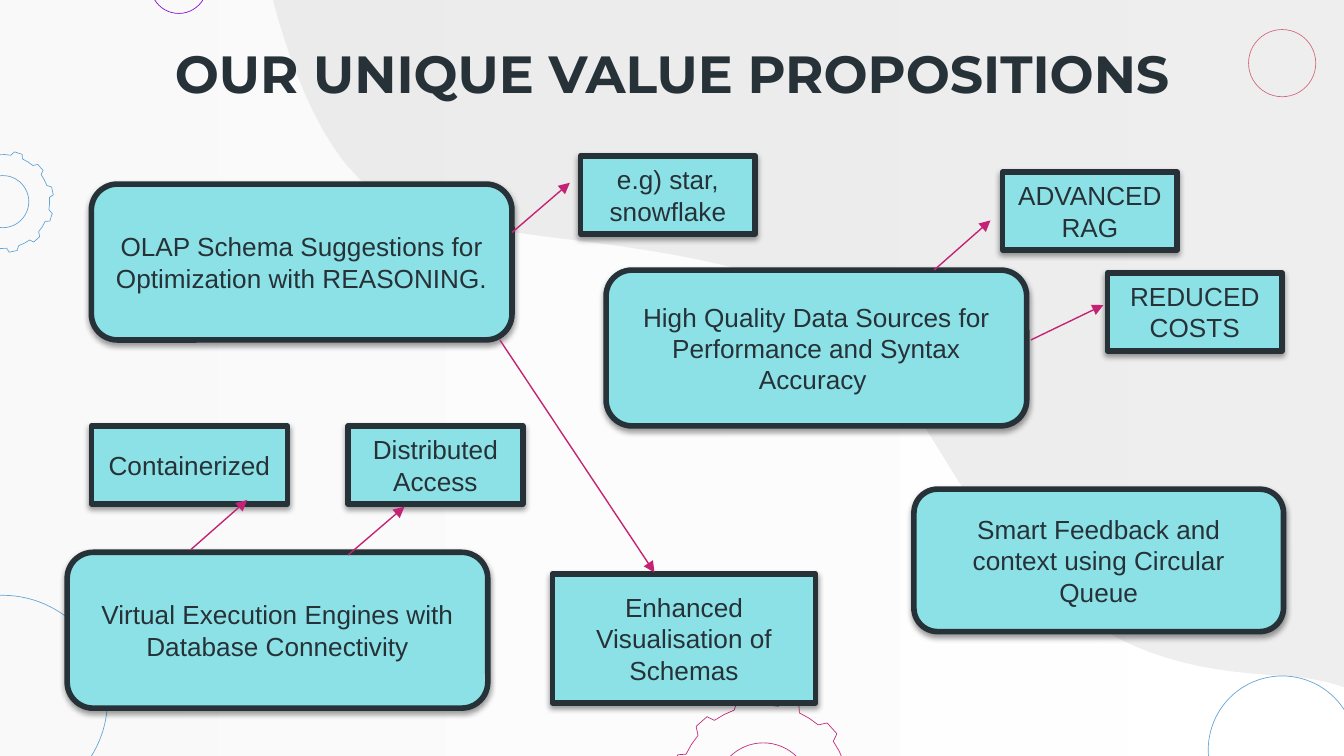
from math import cos, radians, sin

from lxml import etree
from pptx import Presentation
from pptx.dml.color import RGBColor
from pptx.enum.shapes import MSO_CONNECTOR, MSO_SHAPE
from pptx.enum.text import MSO_ANCHOR, PP_ALIGN
from pptx.oxml.ns import qn
from pptx.util import Inches, Pt

STRAIGHT = MSO_CONNECTOR.STRAIGHT
RECT, ROUNDED, OVAL = MSO_SHAPE.RECTANGLE, MSO_SHAPE.ROUNDED_RECTANGLE, MSO_SHAPE.OVAL
MIDDLE, CENTER = MSO_ANCHOR.MIDDLE, PP_ALIGN.CENTER

INK = RGBColor(0x26, 0x32, 0x38)
AQUA = RGBColor(0x8B, 0xE1, 0xE5)
MAGENTA = RGBColor(0xC4, 0x23, 0x75)
WHITE = RGBColor(0xFF, 0xFF, 0xFF)
PALE = RGBColor(0xF3, 0xF3, 0xF3)
GREY = RGBColor(0xD6, 0xD7, 0xD7)
BLUE = RGBColor(0x63, 0xA4, 0xD5)
PURPLE = RGBColor(0x86, 0x0C, 0xD1)
ROSE = RGBColor(0xD3, 0x69, 0x80)
PINK = RGBColor(0xC5, 0x28, 0x78)


def set_alpha(shape, percent):
    for color in shape._element.spPr.iter(qn("a:srgbClr")):
        etree.SubElement(color, qn("a:alpha"), val=str(percent * 1000))


def add_polygon(shapes, points):
    corners = [(Inches(x), Inches(y)) for x, y in points]
    builder = shapes.build_freeform(*corners[0])
    builder.add_line_segments(corners[1:], close=True)
    polygon = builder.convert_to_shape()
    polygon.shadow.inherit = False
    return polygon


prs = Presentation()
prs.slide_width, prs.slide_height = Inches(10), Inches(10) * 9 // 16
slide = prs.slides.add_slide(prs.slide_layouts[5])
shapes = slide.shapes

backdrop = shapes.add_shape(RECT, Inches(-0.07), Inches(-0.07), Inches(10.14), Inches(5.77))
backdrop.shadow.inherit = False
backdrop.line.fill.background()
backdrop.fill.gradient()
backdrop.fill.gradient_angle = 180
for stop, color in zip(backdrop.fill.gradient_stops, (WHITE, PALE)):
    stop.color.rgb = color
set_alpha(backdrop, 41)

wave_curves = [
    ((2, -0.13), (2.27, 1.18), (2.88, 1.48)),
    ((3.51, 1.8), (4.54, 1.73), (5.6, 2.03)),
    ((6.66, 2.34), (6.9, 3.45), (7.57, 4.17)),
    ((8.25, 4.88), (8.84, 4.99), (9.57, 5.03)),
    ((9.88, 5.05), (10.1, 5.14), (10.26, 5.23)),
]
wave_points = [(10.26, -0.21), (1.98, -0.21)]
for control_1, control_2, end in wave_curves:
    curve = list(zip(wave_points[-1], control_1, control_2, end))
    for step in range(1, 17):
        t = step / 16
        wave_points.append(tuple(
            a * (1 - t) ** 3 + 3 * b * t * (1 - t) ** 2 + 3 * c * t ** 2 * (1 - t) + d * t ** 3
            for a, b, c, d in curve))
wave = add_polygon(shapes, wave_points)
wave.line.fill.background()
wave.fill.solid()
wave.fill.fore_color.rgb = GREY
set_alpha(wave, 41)

rings = [
    (9.54, 5.58, 0.55, BLUE),
    (1.33, -0.11, 0.21, PURPLE),
    (9.54, 0.47, 0.25, ROSE),
    (0.02, 5.21, 0.78, BLUE),
]
outlines = []
tooth = [(5, 0.92), (7.5, 1), (16.5, 1), (20, 0.92), (27.5, 0.92)]
for x, y, radius, color in [(0.02, 1.5, 0.38, BLUE), (5.68, 5.88, 0.69, PINK)]:
    rim = [(x + radius * reach * cos(radians(turn + angle)),
            y - radius * reach * sin(radians(turn + angle)))
           for turn in range(0, 360, 30) for angle, reach in tooth]
    outlines.append((add_polygon(shapes, rim), color))
    rings.append((x, y, radius * 0.51, color))
for x, y, radius, color in rings:
    ring = shapes.add_shape(OVAL, Inches(x - radius), Inches(y - radius),
                            Inches(2 * radius), Inches(2 * radius))
    ring.shadow.inherit = False
    outlines.append((ring, color))
for outline, color in outlines:
    outline.fill.background()
    outline.line.color.rgb = color
    outline.line.width = Pt(0.36)

title = shapes.title
shapes._spTree.append(title._element)
title.left, title.top, title.width, title.height = (
    Inches(0.78), Inches(0.34), Inches(8.44), Inches(0.4))
title.text_frame.text = "OUR UNIQUE VALUE PROPOSITIONS"
title.text_frame.vertical_anchor = MIDDLE
heading = title.text_frame.paragraphs[0]
heading.alignment = CENTER
heading_font = heading.runs[0].font
heading_font.name, heading_font.size, heading_font.bold = "Montserrat", Pt(28), True
heading_font.color.rgb = INK

boxes = [
    (ROUNDED, 0.68, 1.37, 3.13, 1.16, "OLAP Schema Suggestions for Optimization with REASONING."),
    (ROUNDED, 4.51, 2.01, 3.13, 1.16,
     "High Quality Data Sources for Performance and Syntax Accuracy "),
    (RECT, 7.46, 1.28, 1.3, 0.58, "ADVANCED\vRAG"),
    (RECT, 8.24, 2.03, 1.3, 0.58, "REDUCED COSTS"),
    (RECT, 4.32, 1.16, 1.3, 0.58, "e.g) star, snowflake"),
    (ROUNDED, 0.5, 4.11, 3.13, 1.16, "Virtual Execution Engines with Database Connectivity"),
    (RECT, 0.68, 3.17, 1.46, 0.58, "Containerized"),
    (RECT, 2.59, 3.17, 1.3, 0.58, "Distributed Access"),
    (RECT, 4.11, 4.27, 1.96, 0.96, "Enhanced Visualisation of Schemas"),
    (ROUNDED, 6.8, 3.64, 2.75, 1.06, "Smart Feedback and context using Circular Queue"),
]
for kind, left, top, width, height, wording in boxes:
    box = shapes.add_shape(kind, Inches(left), Inches(top), Inches(width), Inches(height))
    box.fill.solid()
    box.fill.fore_color.rgb = AQUA
    box.line.color.rgb = INK
    box.line.width = Pt(3)
    box.shadow.inherit = False
    effects = box._element.spPr.find(qn("a:effectLst"))
    shade = etree.SubElement(effects, qn("a:outerShdw"), blurRad=str(Pt(3.1)),
                             dist=str(Pt(1.6)), dir="5400000", rotWithShape="0")
    shade_color = etree.SubElement(shade, qn("a:srgbClr"), val="000000")
    etree.SubElement(shade_color, qn("a:alpha"), val="38000")
    frame = box.text_frame
    frame.text = wording
    frame.word_wrap = True
    frame.vertical_anchor = MIDDLE
    frame.paragraphs[0].alignment = CENTER
    for run in frame.paragraphs[0].runs:
        run.font.name, run.font.size = "Arial", Pt(14)
        run.font.color.rgb = INK

arrows = [
    (6.95, 2.01, 7.37, 1.64),
    (7.67, 2.53, 8.21, 2.27),
    (3.81, 1.73, 4.24, 1.36),
    (1.42, 4.09, 1.84, 3.72),
    (2.59, 4.13, 3.01, 3.77),
    (3.72, 2.53, 4.87, 4.26),
]
for ends in arrows:
    arrow = shapes.add_connector(STRAIGHT, *[Inches(value) for value in ends])
    arrow.line.color.rgb = MAGENTA
    arrow.line.width = Pt(0.75)
    stroke = arrow._element.spPr.find(qn("a:ln"))
    etree.SubElement(stroke, qn("a:tailEnd"), type="triangle")
    etree.SubElement(arrow._element.spPr, qn("a:effectLst"))

prs.save("out.pptx")
